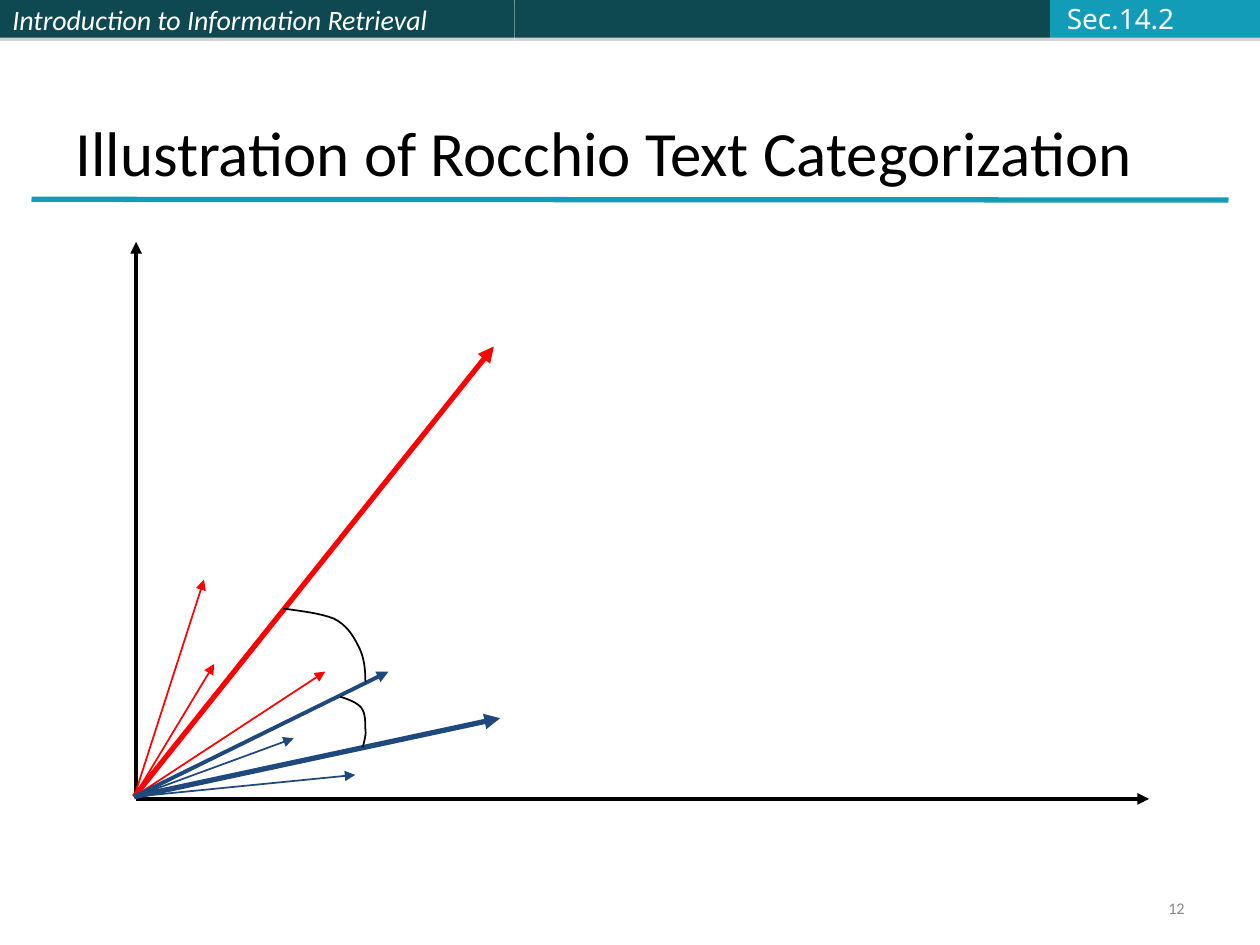
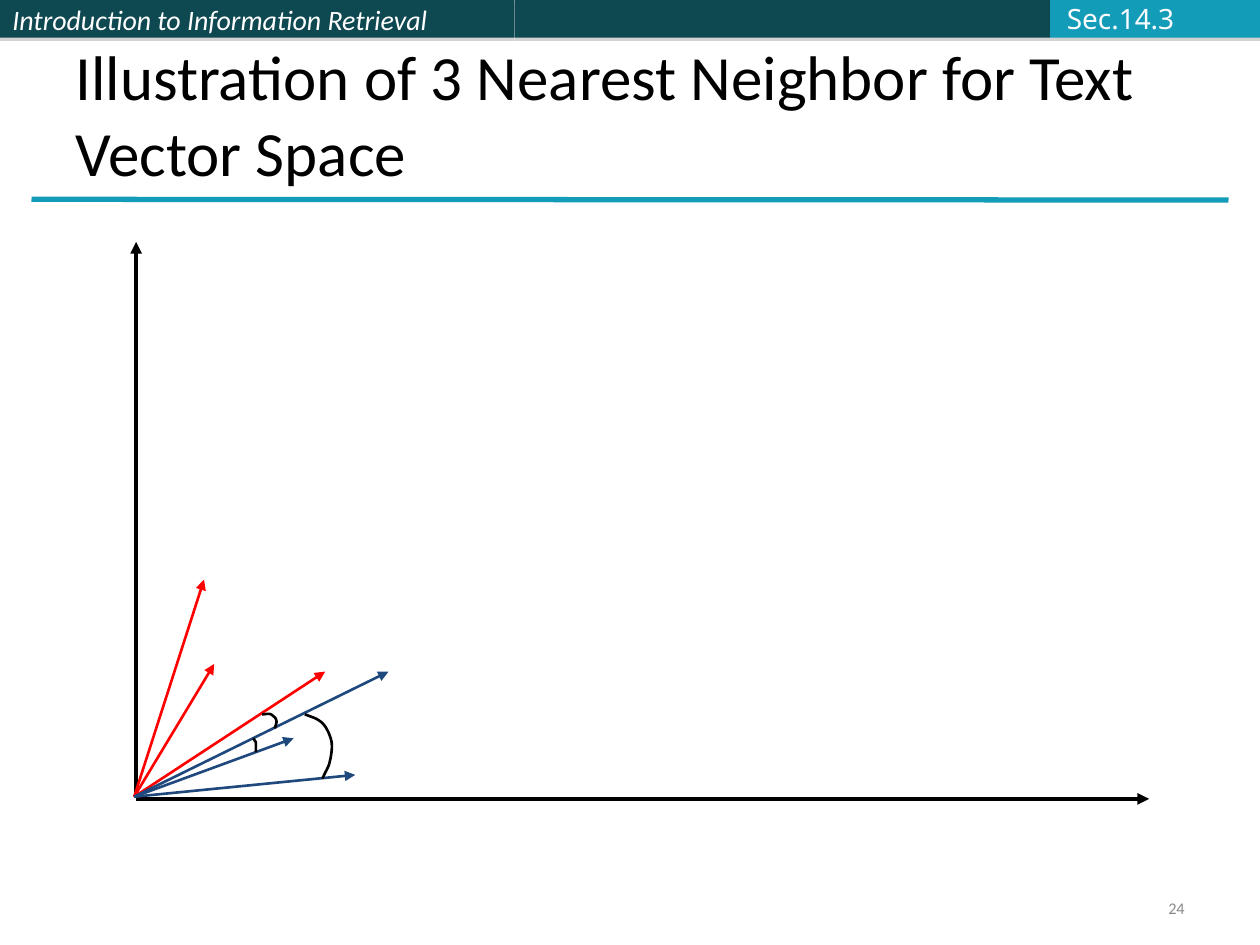
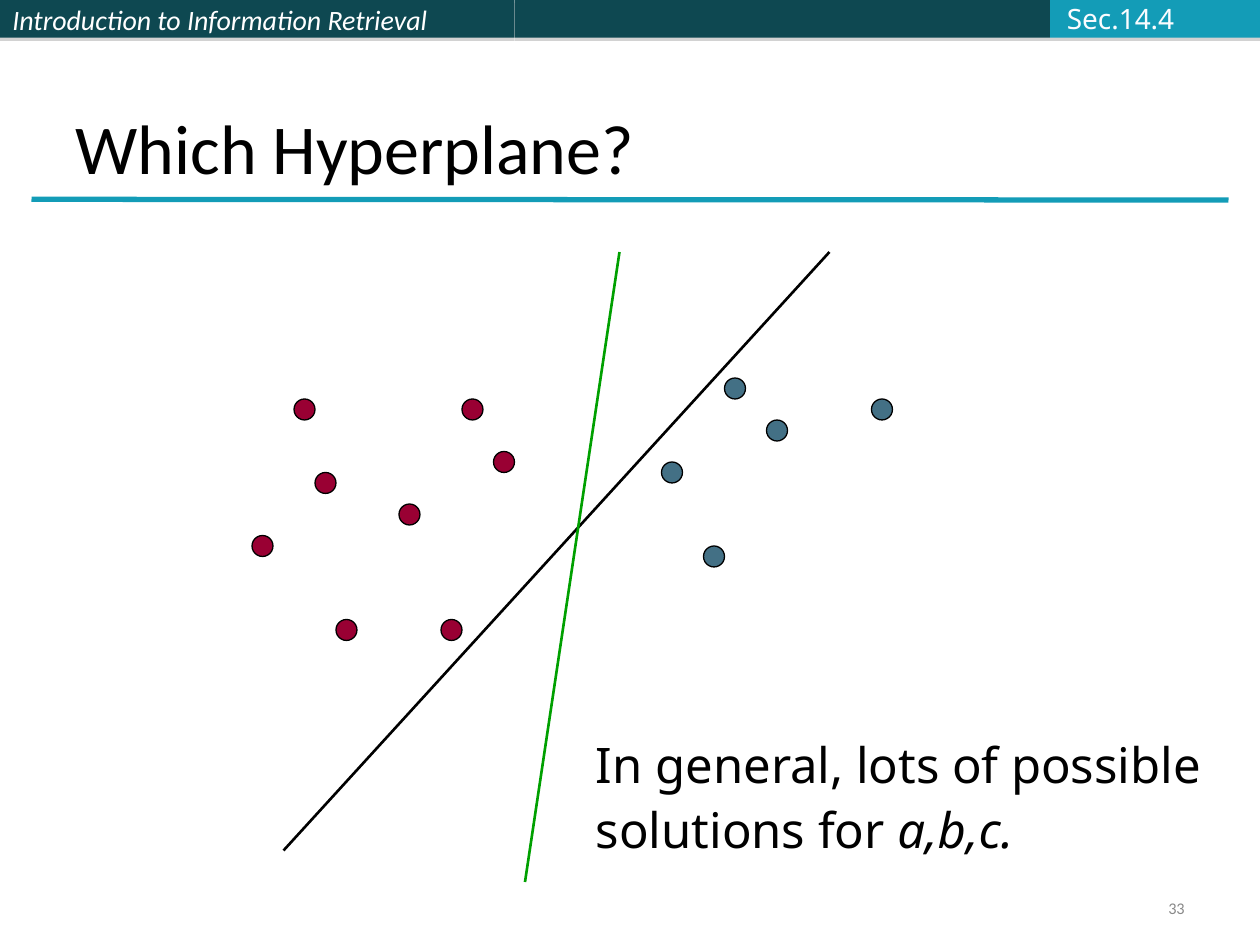
from pptx import Presentation
from pptx.dml.color import RGBColor
from pptx.enum.shapes import MSO_CONNECTOR, MSO_SHAPE
from pptx.enum.text import MSO_ANCHOR, MSO_AUTO_SIZE, PP_ALIGN
from pptx.oxml import parse_xml
from pptx.oxml.ns import nsdecls, qn
from pptx.oxml.xmlchemy import OxmlElement
from pptx.util import Pt

STRAIGHT = MSO_CONNECTOR.STRAIGHT
RECTANGLE, OVAL = MSO_SHAPE.RECTANGLE, MSO_SHAPE.OVAL
MIDDLE, BOTTOM = MSO_ANCHOR.MIDDLE, MSO_ANCHOR.BOTTOM
LEFT, RIGHT = PP_ALIGN.LEFT, PP_ALIGN.RIGHT
NO_AUTOFIT = MSO_AUTO_SIZE.NONE

DARK_TEAL = RGBColor(0x0E, 0x48, 0x51)
TEAL = RGBColor(0x13, 0x9C, 0xB7)
WHITE = RGBColor(0xFF, 0xFF, 0xFF)
OFF_WHITE = RGBColor(0xFB, 0xFC, 0xFF)
BLACK = RGBColor(0x00, 0x00, 0x00)
GREY = RGBColor(0x89, 0x89, 0x89)
RED = RGBColor(0xFF, 0x00, 0x00)
NAVY = RGBColor(0x1F, 0x49, 0x7D)
GREEN = RGBColor(0x00, 0xA0, 0x00)
CRIMSON = RGBColor(0x99, 0x00, 0x33)
STEEL = RGBColor(0x43, 0x70, 0x85)

HEADING_FONT = "Calibri"
BODY_FONT = "Noto Sans"
BAND_HEIGHT = 21.6
BAND_SHADOW = (
    f'<a:outerShdw {nsdecls("a")} dist="22860" dir="5400000" rotWithShape="0">'
    '<a:srgbClr val="808080"><a:alpha val="35000"/></a:srgbClr></a:outerShdw>'
)


def add_line(slide, start, end, color, width, arrow=False):
    line = slide.shapes.add_connector(
        STRAIGHT, Pt(start[0]), Pt(start[1]), Pt(end[0]), Pt(end[1]))
    line.line.color.rgb = color
    line.line.width = Pt(width)
    properties = line.element.spPr
    properties.append(OxmlElement("a:effectLst"))
    if arrow:
        arrowhead = OxmlElement("a:tailEnd")
        arrowhead.set("type", "triangle")
        properties.find(qn("a:ln")).append(arrowhead)


def write_text(text_frame, text, font, size, color, anchor, align=LEFT):
    """Fill a one-paragraph frame and return its paragraph."""
    text_frame.text = text
    text_frame.vertical_anchor = anchor
    paragraph = text_frame.paragraphs[0]
    paragraph.alignment = align
    paragraph.font.name = font
    paragraph.font.size = Pt(size)
    paragraph.font.color.rgb = color
    return paragraph


presentation = Presentation()
presentation.slide_width = Pt(720)
presentation.slide_height = Pt(540)
title_only = presentation.slide_layouts[5]

# Shared header, title and slide number
SLIDES = [
    ("Illustration of Rocchio Text Categorization", 36, "Sec.14.2", "12"),
    ("Illustration of 3 Nearest Neighbor for Text Vector Space", 36, "Sec.14.3", "24"),
    ("Which Hyperplane?", 40, "Sec.14.4", "33"),
]
BANDS = [
    (0, 294, DARK_TEAL, "Introduction to Information Retrieval"),
    (294, 306, DARK_TEAL, ""),
    (600, 120, TEAL, ""),
]

for title, title_size, section, number in SLIDES:
    slide = presentation.slides.add_slide(title_only)
    for left, width, color, label in BANDS:
        band = slide.shapes.add_shape(
            RECTANGLE, Pt(left), 0, Pt(width), Pt(BAND_HEIGHT))
        band.fill.solid()
        band.fill.fore_color.rgb = color
        band.line.fill.background()
        band.shadow.inherit = False
        band.element.spPr.find(qn("a:effectLst")).append(parse_xml(BAND_SHADOW))
        if label:
            paragraph = write_text(
                band.text_frame, label, HEADING_FONT, 16, WHITE, MIDDLE)
            paragraph.font.italic = True
    add_line(slide, (18, 113.9), (702, 114.3), TEAL, 3)

    heading = slide.shapes.title
    heading.left, heading.top = Pt(36), Pt(21.6)
    heading.width, heading.height = Pt(648), Pt(90)
    write_text(heading.text_frame, title, HEADING_FONT, title_size, BLACK, BOTTOM)
    heading.text_frame.auto_size = NO_AUTOFIT

    section_box = slide.shapes.add_textbox(Pt(602.6), Pt(-2.9), Pt(75.6), Pt(26.6))
    section_box.text_frame.word_wrap = False
    write_text(section_box.text_frame, section, BODY_FONT, 16, OFF_WHITE, MIDDLE)

    number_box = slide.shapes.add_textbox(Pt(516), Pt(510), Pt(168), Pt(19.4))
    number_box.text_frame.word_wrap = True
    paragraph = write_text(
        number_box.text_frame, number, HEADING_FONT, 9.3, GREY, MIDDLE, RIGHT)
    paragraph.line_spacing = 0.8

rocchio, neighbors, hyperplane = presentation.slides

# Document vectors on the two vector-space slides
ORIGIN = (76.7, 455.3)
QUERY = (222, 383.8)
DOCUMENTS = [
    ((116.6, 331.2), RED),
    ((122.4, 379.4), RED),
    ((185.8, 383.8), RED),
    ((203, 442.8), NAVY),
    ((167.8, 421.9), NAVY),
]
for slide, document_width in ((rocchio, 1), (neighbors, 1.5)):
    add_line(slide, (77.8, 456), (77.8, 138.2), BLACK, 2.25, arrow=True)
    add_line(slide, (77.8, 456.5), (656.6, 456.5), BLACK, 2.25, arrow=True)
    for tip, color in DOCUMENTS:
        add_line(slide, ORIGIN, tip, color, document_width, arrow=True)

add_line(rocchio, ORIGIN, (282.2, 198), RED, 3, arrow=True)
add_line(rocchio, ORIGIN, (285.8, 410.4), NAVY, 3, arrow=True)
add_line(rocchio, ORIGIN, QUERY, NAVY, 2.25, arrow=True)
add_line(neighbors, ORIGIN, QUERY, NAVY, 1.5, arrow=True)

# Angle arcs: a start point, then three points for each cubic Bézier segment
ARCS = [
    (rocchio, 1, [
        (162, 347.8),
        (172.8, 349.2), (183.6, 350.6), (190.8, 353.5),
        (198, 357.1), (201.6, 362.9), (204.5, 368.6),
        (208.1, 375.1), (208.8, 382.3), (208.8, 389.5)]),
    (rocchio, 1, [
        (194.4, 398.2),
        (199.4, 399.6), (204.5, 401.8), (206.6, 404.6),
        (208.8, 407.5), (208.8, 412.6), (208.8, 416.2),
        (209.5, 419.8), (208.1, 423.4), (207.4, 427)]),
    (neighbors, 1.5, [
        (144.7, 421.9),
        (145.2, 422.6), (145.7, 423.4), (146.2, 424.1),
        (146.2, 425.5), (146.2, 427.7), (146.2, 429.8)]),
    (neighbors, 1.5, [
        (149.8, 408.2),
        (151.9, 408.2), (153.4, 407.5), (154.8, 408.2),
        (156.2, 409), (157.7, 410.4), (157.7, 411.1),
        (158.4, 412.6), (157.7, 414), (157, 416.2)]),
    (neighbors, 1.5, [
        (174.2, 408.2),
        (177.8, 409.7), (181.4, 410.4), (184.3, 413.3),
        (186.5, 415.4), (188.6, 419.8), (189.4, 423.4),
        (190.1, 427), (189.4, 431.3), (188.6, 434.9),
        (187.9, 438.5), (185.8, 441.4), (184.3, 445)]),
]
STEPS = 8
for slide, width, points in ARCS:
    curve = []
    for index in range(0, len(points) - 1, 3):
        segment = points[index:index + 4]
        for step in range(1, STEPS + 1):
            t = step / STEPS
            weights = ((1 - t) ** 3, 3 * t * (1 - t) ** 2, 3 * t * t * (1 - t), t ** 3)
            x = sum(weight * point[0] for weight, point in zip(weights, segment))
            y = sum(weight * point[1] for weight, point in zip(weights, segment))
            curve.append((Pt(x), Pt(y)))
    builder = slide.shapes.build_freeform(Pt(points[0][0]), Pt(points[0][1]))
    builder.add_line_segments(curve, close=False)
    arc = builder.convert_to_shape()
    arc.fill.background()
    arc.line.color.rgb = BLACK
    arc.line.width = Pt(width)
    arc.shadow.inherit = False

# Two classes of points and two separating lines
DOT_SIZE = 12
DOTS = {
    CRIMSON: [(168, 228), (180, 270), (192, 354), (264, 228),
              (144, 306), (228, 288), (282, 258), (252, 354)],
    STEEL: [(378, 264), (402, 312), (414, 216), (498, 228), (438, 240)],
}
for color, positions in DOTS.items():
    for left, top in positions:
        dot = hyperplane.shapes.add_shape(
            OVAL, Pt(left), Pt(top), Pt(DOT_SIZE), Pt(DOT_SIZE))
        dot.fill.solid()
        dot.fill.fore_color.rgb = color
        dot.line.color.rgb = BLACK
        dot.line.width = Pt(0.75)
        dot.shadow.inherit = False
add_line(hyperplane, (162, 486), (474, 144), BLACK, 1.5)
add_line(hyperplane, (300, 504), (354, 144), GREEN, 1.5)

caption = hyperplane.shapes.add_textbox(Pt(333.4), Pt(419.8), Pt(360.7), Pt(81.4))
caption.text_frame.word_wrap = False
caption.text_frame.text = "In general, lots of possible\nsolutions for "
first_line, second_line = caption.text_frame.paragraphs
variables = second_line.add_run()
variables.text = "a,b,c."
variables.font.italic = True
second_line.space_before = Pt(7)
for paragraph in (first_line, second_line):
    paragraph.line_spacing = 0.9
    paragraph.font.name = BODY_FONT
    paragraph.font.size = Pt(28)
    paragraph.font.color.rgb = BLACK

presentation.save("out.pptx")
